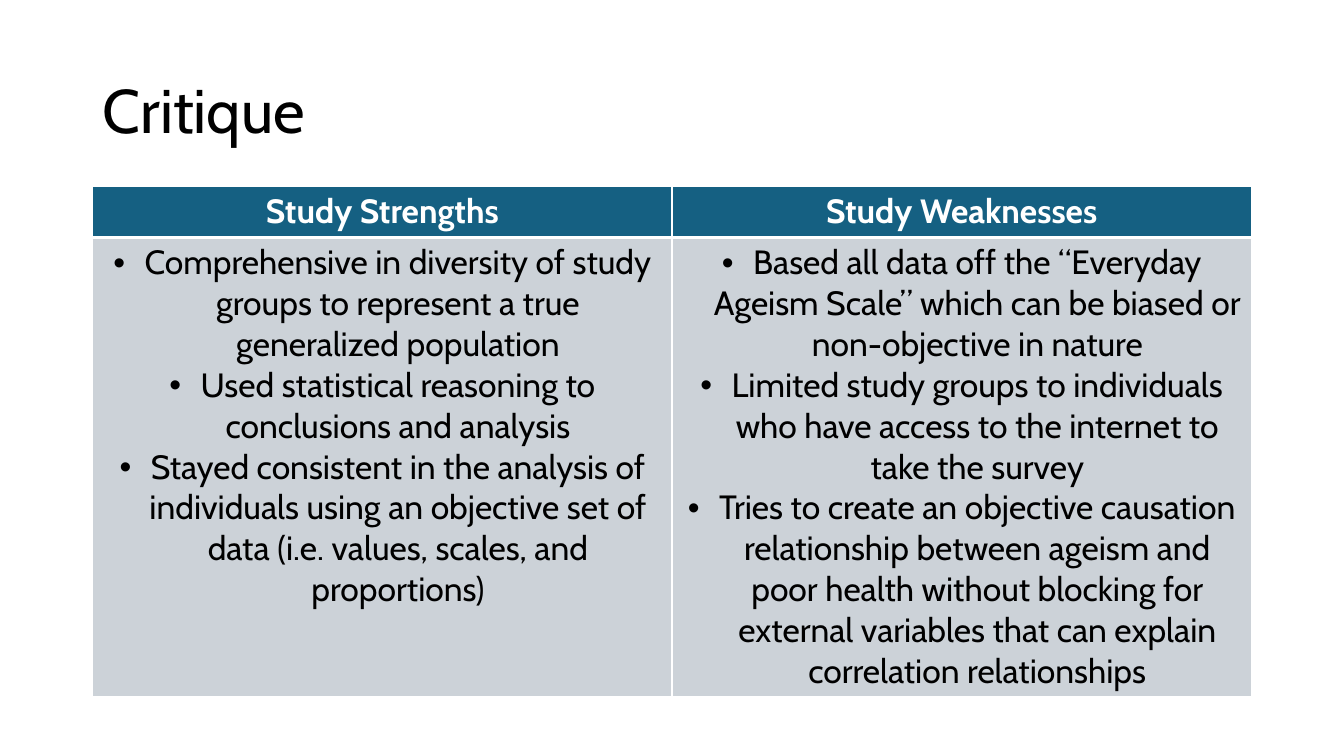
"""Build the Critique slide: a title above a table of strengths and weaknesses."""
from dataclasses import dataclass

from lxml import etree
from pptx import Presentation
from pptx import util as u
from pptx.dml.color import RGBColor
from pptx.enum import text
from pptx.oxml.ns import qn

SLIDE_WIDTH, SLIDE_HEIGHT = u.Inches(13.33), u.Inches(7.5)
GRID_COLUMNS, GRID_ROWS = 29, 150


@dataclass(frozen=True)
class Theme:
    """Colours, font and sizes of the slide."""
    font: str = "Cabin"
    ink: str = "000000"
    paper: str = "FFFFFF"
    header: str = "156082"
    body: str = "CCD2D8"
    title_size: int = 44
    table_size: int = 24
    thin: int = 1
    thick: int = 3
    indent: float = 0.31


@dataclass(frozen=True)
class Topic:
    """One table column: a heading and its points."""
    heading: str
    points: tuple[str, ...]


THEME = Theme()
TOPICS = (
    Topic("Study Strengths", (
        "Comprehensive in diversity of study groups to represent a true generalized population",
        "Used statistical reasoning to conclusions and analysis",
        "Stayed consistent in the analysis of individuals using an objective set of data "
        "(i.e. values, scales, and proportions)",
    )),
    Topic("Study Weaknesses", (
        "Based all data off the “Everyday Ageism Scale” which can be biased or "
        "non-objective in nature",
        "Limited study groups to individuals who have access to the internet to take the survey",
        "Tries to create an objective causation relationship between ageism and poor health "
        "without blocking for external variables that can explain correlation relationships",
    )),
)


def across(columns: float) -> int:
    """Return the width of a number of grid columns."""
    return round(SLIDE_WIDTH * columns / GRID_COLUMNS)


def down(rows: float) -> int:
    """Return the height of a number of grid rows."""
    return round(SLIDE_HEIGHT * rows / GRID_ROWS)


def add_span(para, words: str, size: int, colour: str, bold: bool = False) -> None:
    """Add one formatted run to a paragraph."""
    span = para.add_run()
    span.text = words
    span.font.name = THEME.font
    span.font.size = u.Pt(size)
    span.font.bold = bold
    span.font.color.rgb = RGBColor.from_string(colour)


def add_bullet(para) -> None:
    """Give a paragraph a hanging bullet."""
    properties = para._p.get_or_add_pPr()
    indent = u.Inches(THEME.indent)
    properties.set("marL", str(indent))
    properties.set("indent", str(-indent))
    etree.SubElement(properties, qn("a:buFont"), typeface="Arial")
    etree.SubElement(properties, qn("a:buChar"), char="•")


def add_border(cell, side: str, width: float) -> None:
    """Draw one white edge of a table cell."""
    properties = cell._tc.get_or_add_tcPr()
    line = etree.SubElement(properties, qn(f"a:ln{side}"), w=str(u.Pt(width)))
    fill = etree.SubElement(line, qn("a:solidFill"))
    etree.SubElement(fill, qn("a:srgbClr"), val=THEME.paper)


def fill_cell(cell, lines: tuple[str, ...], is_header: bool) -> None:
    """Fill, outline and write one table cell."""
    for side in "LRTB":
        joins_header = side == ("B" if is_header else "T")
        add_border(cell, side, THEME.thick if joins_header else THEME.thin)
    cell.fill.solid()
    cell.fill.fore_color.rgb = RGBColor.from_string(THEME.header if is_header else THEME.body)
    frame = cell.text_frame
    for index, words in enumerate(lines):
        para = frame.add_paragraph() if index else frame.paragraphs[0]
        para.alignment = text.PP_ALIGN.CENTER
        if not is_header:
            add_bullet(para)
        add_span(para, words, THEME.table_size, THEME.paper if is_header else THEME.ink, is_header)


def add_title(page, words: str) -> None:
    """Place and write the slide title."""
    box = page.shapes.title
    box.left, box.top, box.width, box.height = across(2), down(8), across(25), down(29)
    frame = box.text_frame
    frame.auto_size = text.MSO_AUTO_SIZE.NONE
    frame.vertical_anchor = text.MSO_ANCHOR.MIDDLE
    para = frame.paragraphs[0]
    para.alignment = text.PP_ALIGN.LEFT
    para.line_spacing = 0.9
    add_span(para, words, THEME.title_size, THEME.ink)


def add_topics(page, topics: tuple[Topic, ...]) -> None:
    """Add the table with one column per topic."""
    table = page.shapes.add_table(
        2, len(topics), across(2), down(37), across(25), down(101)).table
    for row, height in zip(table.rows, (10, 91)):
        row.height = down(height)
    for index, topic in enumerate(topics):
        table.columns[index].width = across(25 / len(topics))
        fill_cell(table.cell(0, index), (topic.heading,), True)
        fill_cell(table.cell(1, index), topic.points, False)


def main() -> None:
    """Build and save the deck."""
    deck = Presentation()
    deck.slide_width, deck.slide_height = SLIDE_WIDTH, SLIDE_HEIGHT
    page = deck.slides.add_slide(deck.slide_layouts.get_by_name("Title Only"))
    add_title(page, "Critique")
    add_topics(page, TOPICS)
    deck.save("out.pptx")


if __name__ == "__main__":
    main()
